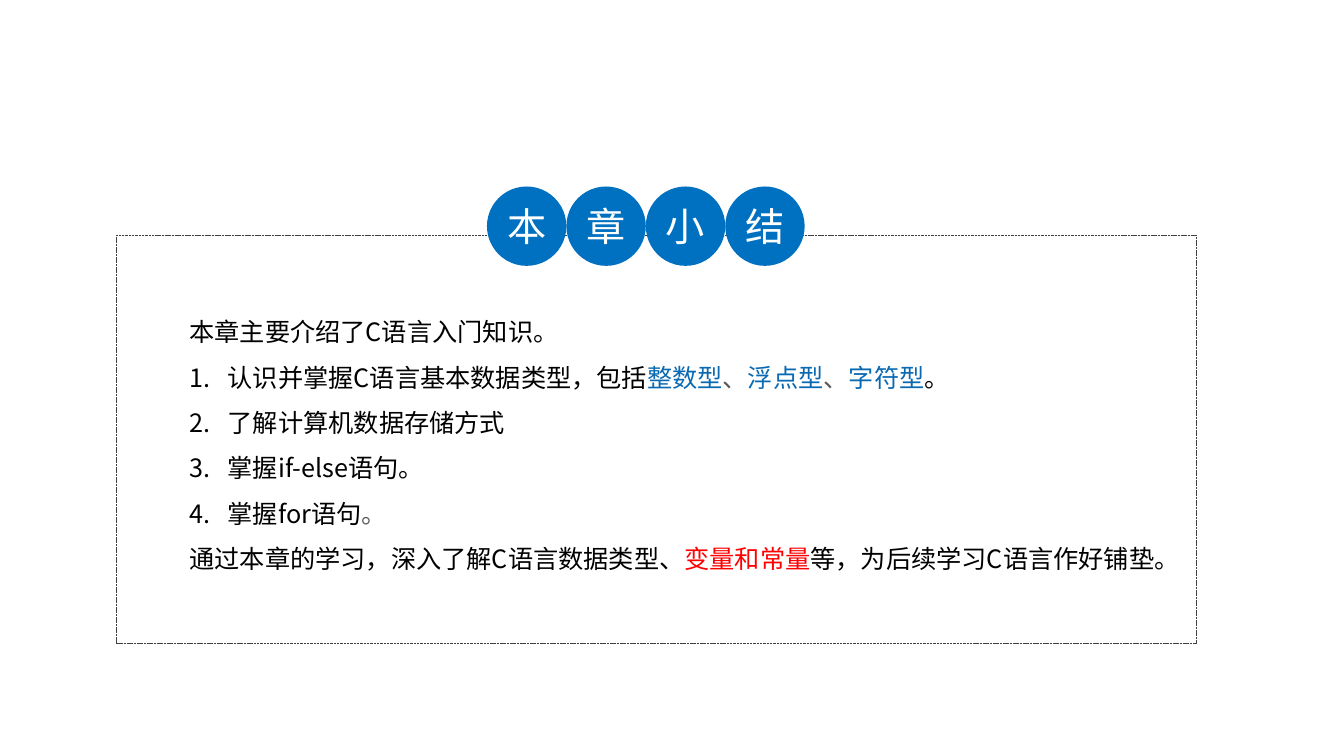
from lxml.etree import SubElement
from pptx import Presentation
from pptx.dml.color import RGBColor
from pptx.enum.dml import MSO_LINE
from pptx.enum.shapes import MSO_SHAPE
from pptx.enum.text import MSO_ANCHOR, MSO_AUTO_SIZE, PP_ALIGN
from pptx.oxml.ns import qn
from pptx.util import Inches, Pt

BLACK = RGBColor(0x00, 0x00, 0x00)
WHITE = RGBColor(0xFF, 0xFF, 0xFF)
GREY = RGBColor(0x59, 0x59, 0x59)
DARK = RGBColor(0x40, 0x40, 0x40)
BLUE = RGBColor(0x00, 0x70, 0xC0)
LINK = RGBColor(0x09, 0x69, 0xB2)
RED = RGBColor(0xFF, 0x00, 0x00)

TITLE = "本章小结"
# Each line: numbered or not, then its runs
LINES = [
    (False, [("本章主要介绍了C语言入门知识。", BLACK)]),
    (True, [("认识并掌握C语言基本数据类型，包括", BLACK), ("整数型", LINK),
            ("、", GREY), ("浮点型", LINK), ("、", GREY),
            ("字符型", LINK), ("。", BLACK)]),
    (True, [("了解计算机数据存储方式", BLACK)]),
    (True, [("掌握if-else语句。", BLACK)]),
    (True, [("掌握for语句", BLACK), ("。", GREY)]),
    (False, [("通过本章的学习，深入了解C语言数据类型、", BLACK),
             ("变量和常量", RED),
             ("等，为后续学习C语言作好铺垫。", BLACK)]),
]


class Deck:
    """Style and current slide; lengths are percent of the slide's size."""
    font = "Noto Sans CJK SC"
    body = Pt(18)
    head = Pt(28)
    indent = Inches(0.38)

    def __init__(self):
        self.prs = Presentation()
        self.prs.slide_width = Inches(13.33)
        self.prs.slide_height = Inches(7.5)
        self.slide = self.prs.slides.add_slide(self.prs.slide_layouts[6])

    def area(self, x, y, w, h):
        wide, high = self.prs.slide_width, self.prs.slide_height
        return [int(part * size / 100) for part, size in
                ((x, wide), (y, high), (w, wide), (h, high))]

    def shape(self, kind, *box):
        item = self.slide.shapes.add_shape(kind, *self.area(*box))
        item.shadow.inherit = False
        return item

    def run(self, para, text, size, color):
        run = para.add_run()
        run.text = text
        run.font.size = size
        run.font.color.rgb = color
        run.font.name = self.font
        SubElement(run.font._element, qn("a:ea"), typeface=self.font)

    def inset(self, frame):
        frame.margin_left = frame.margin_right = 0
        frame.margin_top = frame.margin_bottom = 0
        frame.word_wrap = True

    def frame(self, *box):
        item = self.shape(MSO_SHAPE.ROUNDED_RECTANGLE, *box)
        item.adjustments[0] = 0
        item.fill.background()
        item.line.color.rgb = DARK
        item.line.width = Pt(0.25)
        item.line.dash_style = MSO_LINE.SQUARE_DOT

    def disc(self, text, *box):
        item = self.shape(MSO_SHAPE.OVAL, *box)
        item.fill.solid()
        item.fill.fore_color.rgb = BLUE
        item.line.fill.background()
        self.inset(item.text_frame)
        item.text_frame.vertical_anchor = MSO_ANCHOR.MIDDLE
        para = item.text_frame.paragraphs[0]
        para.alignment = PP_ALIGN.CENTER
        self.run(para, text, self.head, WHITE)

    def number(self, para):
        props = para._p.get_or_add_pPr()
        props.set("marL", str(self.indent))
        props.set("indent", str(-self.indent))
        SubElement(props, qn("a:buFont"), typeface=self.font)
        SubElement(props, qn("a:buAutoNum"), type="arabicPeriod")

    def text(self, lines, *box):
        frame = self.slide.shapes.add_textbox(*self.area(*box)).text_frame
        self.inset(frame)
        frame.auto_size = MSO_AUTO_SIZE.SHAPE_TO_FIT_TEXT
        for row, (listed, runs) in enumerate(lines):
            para = frame.add_paragraph() if row else frame.paragraphs[0]
            para.alignment = PP_ALIGN.JUSTIFY
            para.line_spacing = 1.5
            if listed:
                self.number(para)
            for text, color in runs:
                self.run(para, text, self.body, color)


def main():
    deck = Deck()

    # Dashed border and summary
    deck.frame(8.63, 31.07, 80.35, 54)
    deck.text(LINES, 14.1, 39.87, 73.82, 35.6)

    # Title, one character per disc, side by side
    width = 5.91
    for col, char in enumerate(TITLE):
        deck.disc(char, 36.23 + col * width, 24.67, width, 10.5)

    deck.prs.save("out.pptx")


if __name__ == "__main__":
    main()
